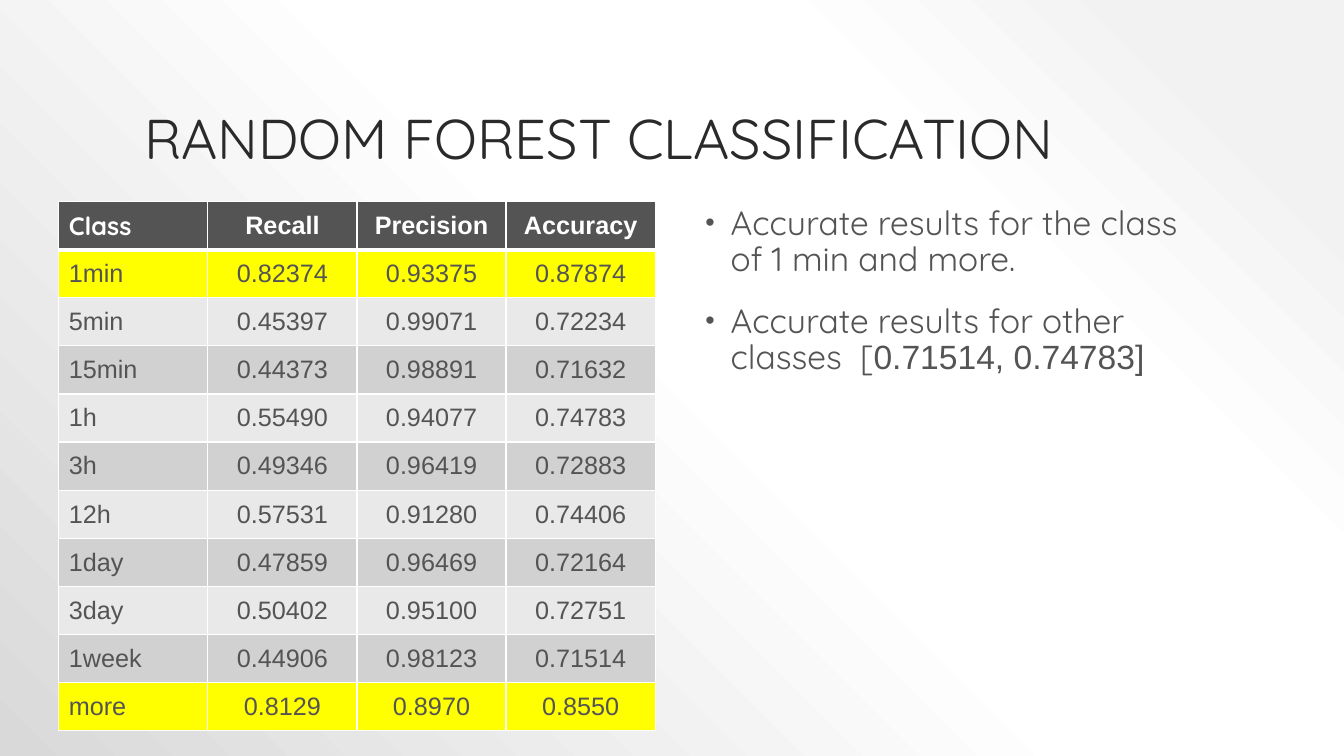
from lxml.etree import SubElement
from pptx import Presentation
from pptx.dml.color import RGBColor
from pptx.enum.text import MSO_ANCHOR, PP_ALIGN
from pptx.oxml import parse_xml
from pptx.oxml.ns import nsdecls, qn
from pptx.util import Inches, Pt

WHITE = RGBColor(0xFF, 0xFF, 0xFF)
INK = RGBColor(0x2A, 0x2A, 0x2A)
GREY = RGBColor(0x54, 0x54, 0x54)
LIGHT = RGBColor(0xE9, 0xE9, 0xE9)
DARK = RGBColor(0xD1, 0xD1, 0xD1)
YELLOW = RGBColor(0xFF, 0xFF, 0x00)
PALE = RGBColor(0xF2, 0xF2, 0xF2)
EDGE = RGBColor(0xD9, 0xD9, 0xD9)

COLS, ROWS = 160, 150
SCORES = [
    ("Class", "Recall", "Precision", "Accuracy"),
    ("1min", "0.82374", "0.93375", "0.87874"),
    ("5min", "0.45397", "0.99071", "0.72234"),
    ("15min", "0.44373", "0.98891", "0.71632"),
    ("1h", "0.55490", "0.94077", "0.74783"),
    ("3h", "0.49346", "0.96419", "0.72883"),
    ("12h", "0.57531", "0.91280", "0.74406"),
    ("1day", "0.47859", "0.96469", "0.72164"),
    ("3day", "0.50402", "0.95100", "0.72751"),
    ("1week", "0.44906", "0.98123", "0.71514"),
    ("more", "0.8129", "0.8970", "0.8550"),
]
BEST = ("1min", "more")
# Each point is a list of (text, font) pieces.
POINTS = [
    [("Accurate results for the class of 1 min and more.", "Quicksand")],
    [("Accurate results for other classes  [", "Quicksand"),
     ("0.71514, 0.74783]", "Arial")],
]


class Deck:
    head = "Quicksand"
    body = "Arial"

    def __init__(self):
        self.prs = Presentation()
        self.prs.slide_width = Inches(13.33)
        self.prs.slide_height = Inches(7.5)
        self.slide = self.prs.slides.add_slide(self.prs.slide_layouts[6])

    def place(self, col, row, wide, high):
        """Turn grid units into slide lengths."""
        x = self.prs.slide_width / COLS
        y = self.prs.slide_height / ROWS
        return [round(n) for n in (col * x, row * y, wide * x, high * y)]

    def style(self, run, font, size, color, bold=False):
        run.font.name = font
        run.font.size = Pt(size)
        run.font.bold = bold
        run.font.color.rgb = color

    def glow(self, stops):
        """Fill the background with rings around the top right corner."""
        marks = "".join(
            f'<a:gs pos="{pos * 1000}"><a:srgbClr val="{color}"/></a:gs>'
            for pos, color in stops)
        self.slide.element.cSld.insert(0, parse_xml(
            f'<p:bg {nsdecls("p", "a")}><p:bgPr><a:gradFill rotWithShape="1">'
            f'<a:gsLst>{marks}</a:gsLst><a:path path="circle">'
            '<a:fillToRect l="100000" b="100000"/></a:path></a:gradFill>'
            '<a:effectLst/></p:bgPr></p:bg>'))

    def frame(self, *grid):
        frame = self.slide.shapes.add_textbox(*self.place(*grid)).text_frame
        frame.word_wrap = True
        return frame

    def title(self, text, *grid):
        frame = self.frame(*grid)
        frame.vertical_anchor = MSO_ANCHOR.BOTTOM
        frame.text = text
        para = frame.paragraphs[0]
        para.line_spacing = 0.9
        self.style(para.runs[0], self.head, 40, INK)

    def bullet(self, para):
        props = para._p.get_or_add_pPr()
        props.set("marL", str(Inches(0.3)))
        props.set("indent", str(Inches(-0.25)))
        tint = SubElement(props, qn("a:buClr"))
        SubElement(tint, qn("a:srgbClr"), val=str(GREY))
        SubElement(props, qn("a:buSzPct"), val="80000")
        SubElement(props, qn("a:buFont"), typeface=self.body)
        SubElement(props, qn("a:buChar"), char="•")

    def points(self, items, *grid):
        frame = self.frame(*grid)
        for i, pieces in enumerate(items):
            para = frame.add_paragraph() if i else frame.paragraphs[0]
            para.line_spacing = 0.9
            para.space_before = Pt(18)
            self.bullet(para)
            for text, font in pieces:
                run = para.add_run()
                run.text = text
                self.style(run, font, 24, GREY)

    def border(self, cell, top, bottom):
        props = cell._tc.get_or_add_tcPr()
        for side, width in zip("LRTB", (1, 1, top, bottom)):
            line = SubElement(props, qn(f"a:ln{side}"), w=str(Pt(width)))
            fill = SubElement(line, qn("a:solidFill"))
            SubElement(fill, qn("a:srgbClr"), val=str(WHITE))

    def cell(self, cell, text, row, col, fill):
        self.border(cell, 3 if row == 1 else 1, 1 if row else 3)
        cell.fill.solid()
        cell.fill.fore_color.rgb = fill
        cell.vertical_anchor = MSO_ANCHOR.MIDDLE
        cell.text = text
        para = cell.text_frame.paragraphs[0]
        para.alignment = PP_ALIGN.CENTER if col else PP_ALIGN.LEFT
        font = self.body if row or col else self.head
        self.style(para.runs[0], font, 18, GREY if row else WHITE, not row)

    def table(self, data, *grid):
        box = self.place(*grid)
        table = self.slide.shapes.add_table(len(data), len(data[0]), *box).table
        for r, line in enumerate(data):
            if r == 0:
                fill = GREY
            elif line[0] in BEST:
                fill = YELLOW
            else:
                fill = DARK if r % 2 else LIGHT
            for c, text in enumerate(line):
                self.cell(table.cell(r, c), text, r, c, fill)


def main():
    deck = Deck()
    deck.glow([(10, PALE), (28, WHITE), (48, WHITE), (100, EDGE)])
    deck.title("RANDOM FOREST CLASSIFICATION", 16, 6, 128, 29)
    deck.table(SCORES, 7, 40, 71, 105)
    deck.points(POINTS, 82.2, 40, 61.8, 95)
    deck.prs.save("out.pptx")


if __name__ == "__main__":
    main()
